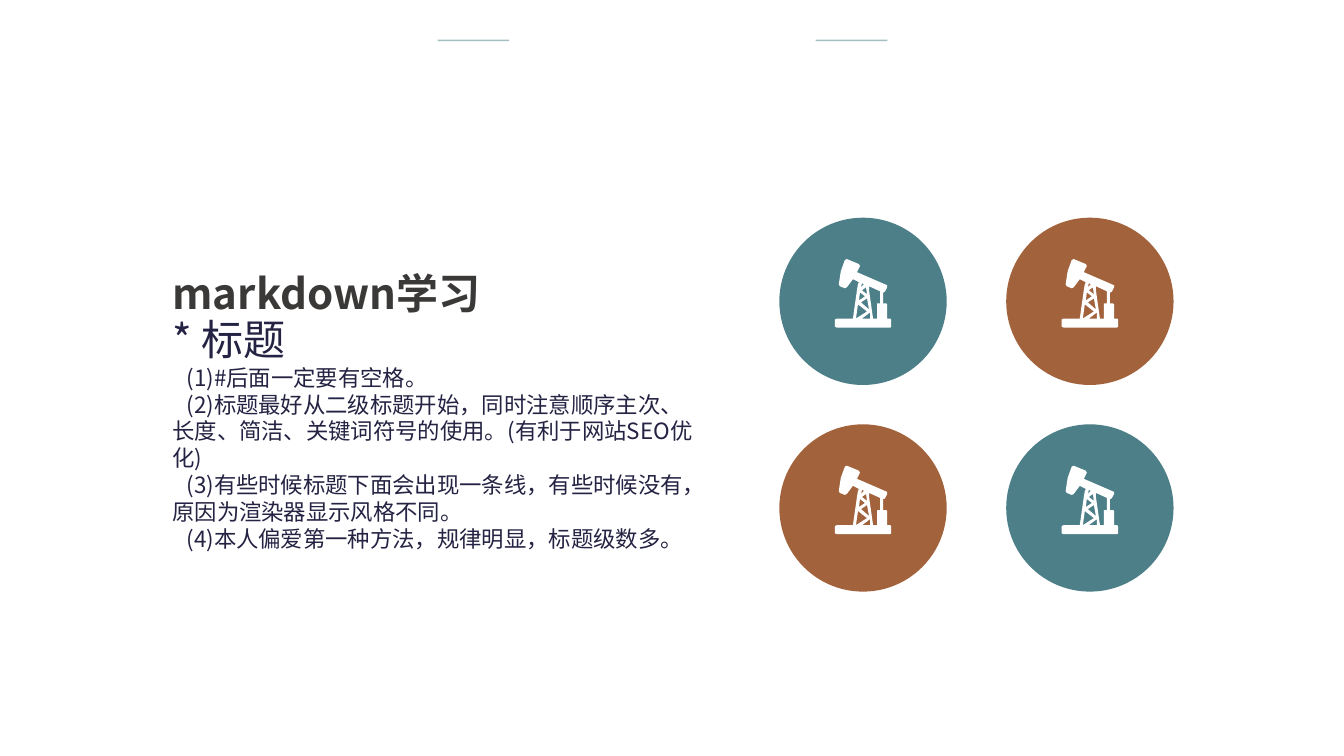
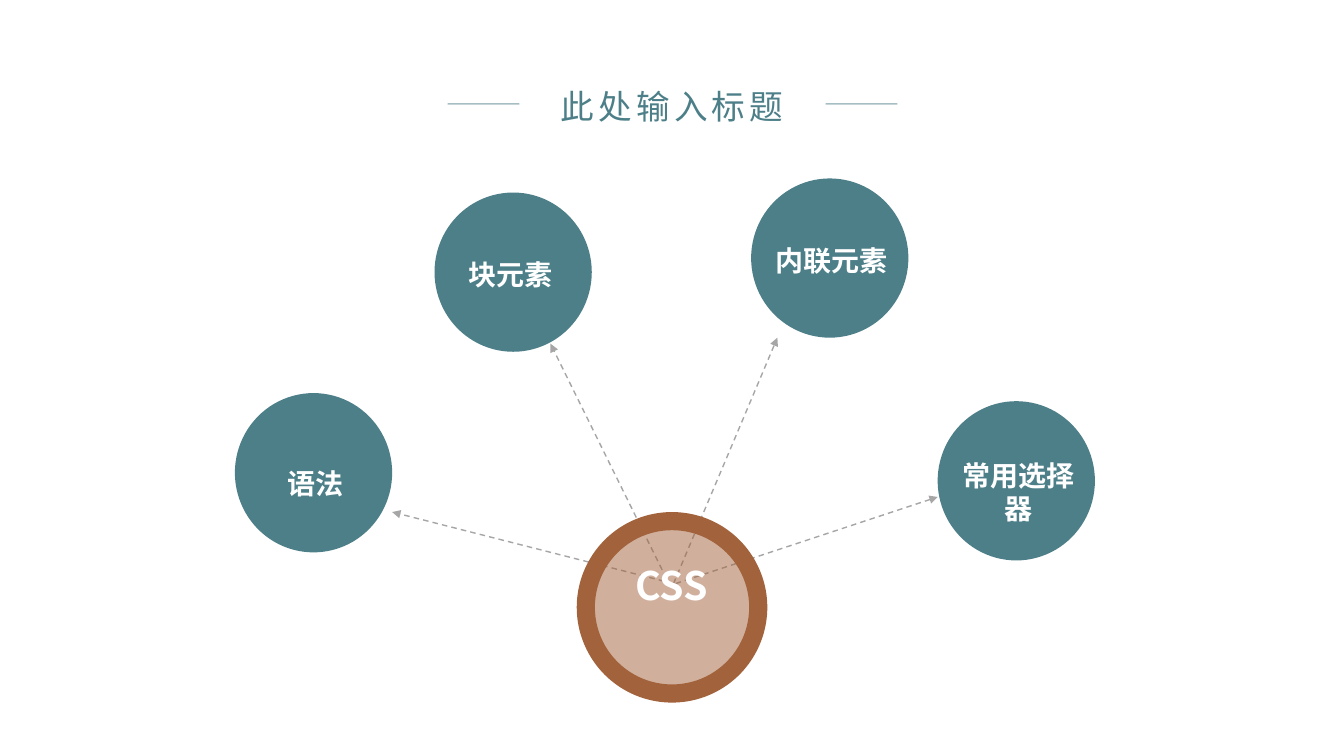
from lxml import etree
from pptx import Presentation
from pptx.dml.color import RGBColor
from pptx.enum.dml import MSO_LINE
from pptx.enum.shapes import MSO_CONNECTOR, MSO_SHAPE
from pptx.enum.text import MSO_ANCHOR, MSO_AUTO_SIZE, PP_ALIGN
from pptx.oxml.ns import qn
from pptx.util import Inches, Pt

FONT = "Noto Sans CJK SC"
TEAL = RGBColor(0x4D, 0x7F, 0x89)
RUST = RGBColor(0xA2, 0x63, 0x3C)
WHITE = RGBColor(0xFF, 0xFF, 0xFF)
GREY = RGBColor(0xA6, 0xA6, 0xA6)
CHARCOAL = RGBColor(0x3B, 0x38, 0x38)
NAVY = RGBColor(0x24, 0x23, 0x43)

RULE_LENGTH = 0.71
RULE_STEP = 3.75

PUMP_OUTLINE = [
    (55, 59), (52, 59), (52, 45), (51, 44), (48, 44), (48, 33), (49, 33),
    (50, 32), (52, 28), (52, 26), (22, 13), (25, 7), (24, 5), (12, 0),
    (10, 1), (6, 12), (4, 25), (5, 27), (10, 29), (12, 28), (18, 20),
    (24, 23), (23, 25), (22, 31), (18, 59), (2, 59), (0, 60), (0, 67),
    (2, 68), (55, 68), (56, 67), (56, 60),
]
PUMP_HOLES = [
    [(45, 44), (42, 44), (42, 59), (38, 59), (34, 31), (34, 27), (45, 32)],
    [(32, 35), (27, 31), (31, 28)],
    [(30, 37), (24, 41), (25, 33)],
    [(32, 39), (34, 50), (26, 43)],
    [(27, 59), (35, 53), (35, 59)],
    [(29, 25), (26, 28), (27, 24)],
    [(23, 45), (32, 52), (21, 59)],
]

HEADING_NOTES = [
    "* 标题",
    "(1)#后面一定要有空格。",
    "(2)标题最好从二级标题开始，同时注意顺序主次、长度、简洁、关键词符号的使用。(有利于网站SEO优化)",
    "(3)有些时候标题下面会出现一条线，有些时候没有，原因为渲染器显示风格不同。",
    "(4)本人偏爱第一种方法，规律明显，标题级数多。",
]

TOPICS = [
    ("语法", 2.33, 3.9, 2.38, 4.79),
    ("块元素", 4.31, 1.91, 4.31, 2.72),
    ("内联元素", 7.45, 1.77, 7.5, 2.58),
    ("常用选择器", 9.3, 3.98, 9.35, 4.88),
]
ARROWS = [
    ((6.68, 5.79), (3.89, 5.08)),
    ((6.68, 5.79), (7.71, 3.35)),
    ((6.7, 5.79), (9.3, 4.93)),
    ((6.61, 5.74), (5.46, 3.41)),
]


def place(sp, left, top, width, height):
    sp.left, sp.top = Inches(left), Inches(top)
    sp.width, sp.height = Inches(width), Inches(height)


def set_alpha(sp, percent):
    for color in sp._element.iter(qn("a:srgbClr")):
        etree.SubElement(color, qn("a:alpha")).set("val", str(percent * 1000))


def style_frame(tf, anchor, side=0.1):
    tf.word_wrap = True
    tf.auto_size = MSO_AUTO_SIZE.NONE
    tf.vertical_anchor = anchor
    tf.margin_left = tf.margin_right = Inches(side)
    tf.margin_top = tf.margin_bottom = 0


def style_paragraph(p, size, color, bold=False, align=PP_ALIGN.LEFT, spacing=0):
    p.alignment = align
    p.line_spacing = Pt(size * 1.2)
    p.space_before = p.space_after = Pt(0)
    for r in p.runs:
        r.font.size = Pt(size)
        r.font.bold = bold
        r.font.color.rgb = color
        r.font.name = FONT
        rPr = r._r.get_or_add_rPr()
        etree.SubElement(rPr, qn("a:ea")).set("typeface", FONT)
        if spacing:
            rPr.set("spc", str(spacing * 100))


def indent_first_line(p, length):
    pPr = p._p.get_or_add_pPr()
    pPr.set("marL", "0")
    pPr.set("indent", str(Inches(length)))
    etree.SubElement(pPr, qn("a:buNone"))


def fill_shape(sp, color):
    sp.shadow.inherit = False
    sp.fill.solid()
    sp.fill.fore_color.rgb = color
    sp.line.fill.background()
    return sp


def add_round(slide, kind, left, top, width, height, color):
    sp = slide.shapes.add_shape(
        kind, Inches(left), Inches(top), Inches(width), Inches(height))
    return fill_shape(sp, color)


def add_line(slide, start, end, color):
    line = slide.shapes.add_connector(
        MSO_CONNECTOR.STRAIGHT, *[Inches(v) for v in (*start, *end)])
    line.line.color.rgb = color
    line.line.width = Pt(1)
    etree.SubElement(line._element.spPr, qn("a:effectLst"))
    return line


def add_arrow(slide, start, end):
    line = add_line(slide, start, end, GREY)
    line.line.dash_style = MSO_LINE.DASH
    ln = line._element.spPr.find(qn("a:ln"))
    etree.SubElement(ln, qn("a:tailEnd")).set("type", "triangle")


def add_title_rules(slide, left, y):
    for x in (left, left + RULE_STEP):
        set_alpha(add_line(slide, (x, y), (x + RULE_LENGTH, y), TEAL), 50)


def add_pump(slide, left, top):
    builder = slide.shapes.build_freeform(*PUMP_OUTLINE[0], scale=Inches(0.01))
    builder.add_line_segments(PUMP_OUTLINE[1:], close=True)
    for hole in PUMP_HOLES:
        builder.move_to(*hole[0])
        builder.add_line_segments(hole[1:], close=True)
    fill_shape(builder.convert_to_shape(Inches(left), Inches(top)), WHITE)


def add_label(slide, text, left, middle, width, height, size, side):
    box = slide.shapes.add_textbox(
        Inches(left), Inches(middle - height / 2), Inches(width), Inches(height))
    tf = box.text_frame
    style_frame(tf, MSO_ANCHOR.MIDDLE, side)
    tf.text = text
    style_paragraph(tf.paragraphs[0], size, WHITE, True, PP_ALIGN.CENTER)


def set_title(slide, text, at, anchor, **style):
    title = slide.shapes.title
    place(title, *at)
    style_frame(title.text_frame, anchor)
    title.text_frame.text = text
    style_paragraph(title.text_frame.paragraphs[0], **style)


def build_markdown_slide(prs):
    slide = prs.slides.add_slide(prs.slide_layouts[1])
    set_title(slide, "markdown学习", (1.61, 2.65, 5.45, 0.46), MSO_ANCHOR.TOP,
              size=30, color=CHARCOAL, bold=True)
    body = slide.placeholders[1]
    place(body, 1.61, 3.11, 5.45, 3.07)
    tf = body.text_frame
    style_frame(tf, MSO_ANCHOR.TOP)
    tf.text = "\n".join(HEADING_NOTES)
    for i, p in enumerate(tf.paragraphs):
        style_paragraph(p, 16 if i else 30, NAVY)
        indent_first_line(p, 0.14 if i else 0)
    for row in range(2):
        for col in range(2):
            left, top = 7.73 + 2.25 * col, 2.16 + 2.05 * row
            color = TEAL if row == col else RUST
            add_round(slide, MSO_SHAPE.OVAL, left, top, 1.66, 1.66, color)
            add_pump(slide, left + 0.55, top + 0.41)
    add_title_rules(slide, 4.34, 0.4)


def build_css_slide(prs):
    slide = prs.slides.add_slide(prs.slide_layouts[5])
    set_title(slide, "此处输入标题", (5.19, 0.8, 2.95, 0.5), MSO_ANCHOR.MIDDLE,
              size=24, color=TEAL, align=PP_ALIGN.CENTER, spacing=3)
    add_title_rules(slide, 4.44, 1.03)
    for start, end in ARROWS:
        add_arrow(slide, start, end)
    for text, left, top, label_left, middle in TOPICS:
        add_round(slide, MSO_SHAPE.OVAL, left, top, 1.56, 1.58, TEAL)
        add_label(slide, text, label_left, middle, 1.5, 0.84, 20, 0.16)
    set_alpha(add_round(slide, MSO_SHAPE.OVAL, 5.87, 5.24, 1.58, 1.58, RUST), 50)
    ring = add_round(slide, MSO_SHAPE.DONUT, 5.72, 5.08, 1.89, 1.89, RUST)
    ring.adjustments[0] = 0.18 / 1.89
    add_label(slide, "CSS", 6.04, 5.8, 1.24, 0.6, 28, 0.13)


def main():
    prs = Presentation()
    prs.slide_width, prs.slide_height = Inches(13.33), Inches(7.5)
    build_markdown_slide(prs)
    build_css_slide(prs)
    prs.save("out.pptx")


main()
